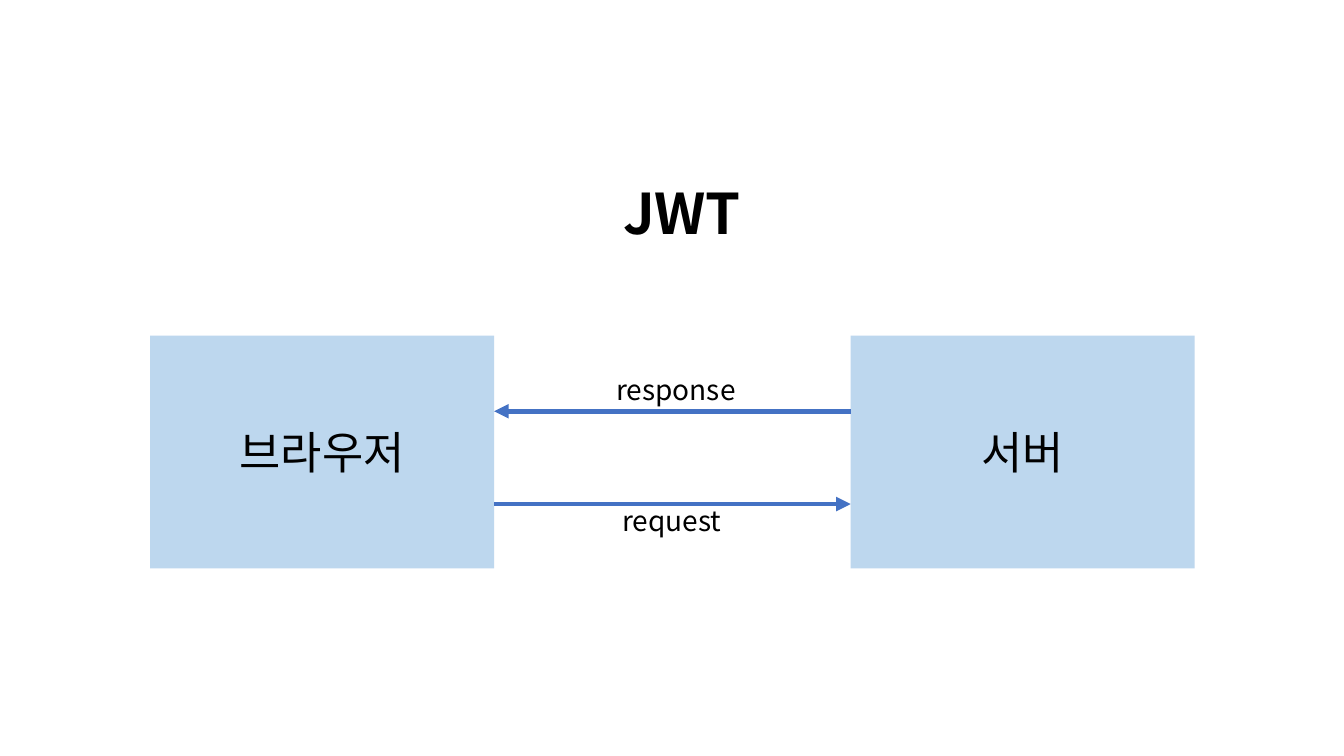
"""Build the JWT slide: a browser and a server exchanging request and response."""
from dataclasses import dataclass

import lxml.etree
import pptx
import pptx.dml.color
import pptx.enum.shapes
import pptx.enum.text
import pptx.oxml.ns
import pptx.util

BLACK = pptx.dml.color.RGBColor(0x00, 0x00, 0x00)
BOX_BLUE = pptx.dml.color.RGBColor(0xBD, 0xD7, 0xEE)
ARROW_BLUE = pptx.dml.color.RGBColor(0x44, 0x72, 0xC4)
FONT = "Noto Sans CJK KR"

SLIDE_WIDTH = pptx.util.Inches(13.33)
SLIDE_HEIGHT = pptx.util.Inches(7.5)

BOX_WIDTH = 25.58
BOX_TOP, BOX_HEIGHT = 44.4, 30.8
BROWSER_LEFT, SERVER_LEFT = 11.18, 63.3
BROWSER_RIGHT = BROWSER_LEFT + BOX_WIDTH
LABEL_WIDTH, LABEL_HEIGHT = 23.78, 3.6


@dataclass(frozen=True)
class Area:
    """A rectangle in percent of the slide's width and height."""

    left: float
    top: float
    width: float
    height: float

    def lengths(self) -> tuple[int, int, int, int]:
        """Return left, top, width and height as lengths."""
        return (across(self.left), down(self.top), across(self.width), down(self.height))


@dataclass(frozen=True)
class Node:
    """A filled box naming one party."""

    text: str
    left: float


@dataclass(frozen=True)
class Message:
    """A labelled arrow between the two parties."""

    text: str
    start: float
    end: float
    level: float
    label_left: float
    label_top: float


NODES = (Node("브라우저", BROWSER_LEFT), Node("서버", SERVER_LEFT))
MESSAGES = (
    Message("request", BROWSER_RIGHT, SERVER_LEFT, 66.67, 38.1, 67.33),
    Message("response", SERVER_LEFT, BROWSER_RIGHT, 54.4, 38.4, 50),
)


def across(percent: float) -> int:
    """Convert a percentage of the slide's width to a length."""
    return round(SLIDE_WIDTH * percent / 100)


def down(percent: float) -> int:
    """Convert a percentage of the slide's height to a length."""
    return round(SLIDE_HEIGHT * percent / 100)


def write(shape, text: str, size: int, spacing: float = 1.0, bold: bool = False) -> None:
    """Put one centred line of text in a shape."""
    text_frame = shape.text_frame
    text_frame.text = text
    text_frame.word_wrap = True
    text_frame.auto_size = pptx.enum.text.MSO_AUTO_SIZE.NONE
    text_frame.vertical_anchor = pptx.enum.text.MSO_ANCHOR.MIDDLE
    text_frame.margin_top = text_frame.margin_bottom = 0
    paragraph = text_frame.paragraphs[0]
    paragraph.alignment = pptx.enum.text.PP_ALIGN.CENTER
    paragraph.line_spacing = spacing
    run = paragraph.runs[0]
    run.font.size = pptx.util.Pt(size)
    run.font.bold = bold
    run.font.color.rgb = BLACK
    run.font.name = FONT
    east_asian = lxml.etree.SubElement(run.font._element, pptx.oxml.ns.qn("a:ea"))
    east_asian.set("typeface", FONT)


def add_title(slide, text: str, area: Area) -> None:
    """Place and format the title placeholder."""
    title = slide.shapes.title
    title.left, title.top, title.width, title.height = area.lengths()
    write(title, text, 40, 0.9, True)


def add_node(slide, node: Node) -> None:
    """Draw one party's box."""
    area = Area(node.left, BOX_TOP, BOX_WIDTH, BOX_HEIGHT)
    shape = slide.shapes.add_shape(
        pptx.enum.shapes.MSO_SHAPE.RECTANGLE, *area.lengths()
    )
    shape.shadow.inherit = False
    shape.fill.solid()
    shape.fill.fore_color.rgb = BOX_BLUE
    shape.line.fill.background()
    write(shape, node.text, 32)


def add_message(slide, message: Message) -> None:
    """Draw one arrow and its label."""
    level = down(message.level)
    connector = slide.shapes.add_connector(
        pptx.enum.shapes.MSO_CONNECTOR.STRAIGHT,
        across(message.start), level, across(message.end), level,
    )
    connector.line.color.rgb = ARROW_BLUE
    connector.line.width = pptx.util.Pt(3.5)
    properties = connector._element.spPr
    line = properties.find(pptx.oxml.ns.qn("a:ln"))
    arrowhead = lxml.etree.SubElement(line, pptx.oxml.ns.qn("a:tailEnd"))
    arrowhead.set("type", "triangle")
    lxml.etree.SubElement(properties, pptx.oxml.ns.qn("a:effectLst"))

    area = Area(message.label_left, message.label_top, LABEL_WIDTH, LABEL_HEIGHT)
    label = slide.shapes.add_textbox(*area.lengths())
    write(label, message.text, 20, 0.9)


def main() -> None:
    """Build and save the presentation."""
    presentation = pptx.Presentation()
    presentation.slide_width = SLIDE_WIDTH
    presentation.slide_height = SLIDE_HEIGHT
    slide = presentation.slides.add_slide(presentation.slide_layouts[5])
    add_title(slide, "JWT", Area(BROWSER_LEFT, 22, 79.13, 13.33))
    for node in NODES:
        add_node(slide, node)
    for message in MESSAGES:
        add_message(slide, message)
    presentation.save("out.pptx")


if __name__ == "__main__":
    main()
